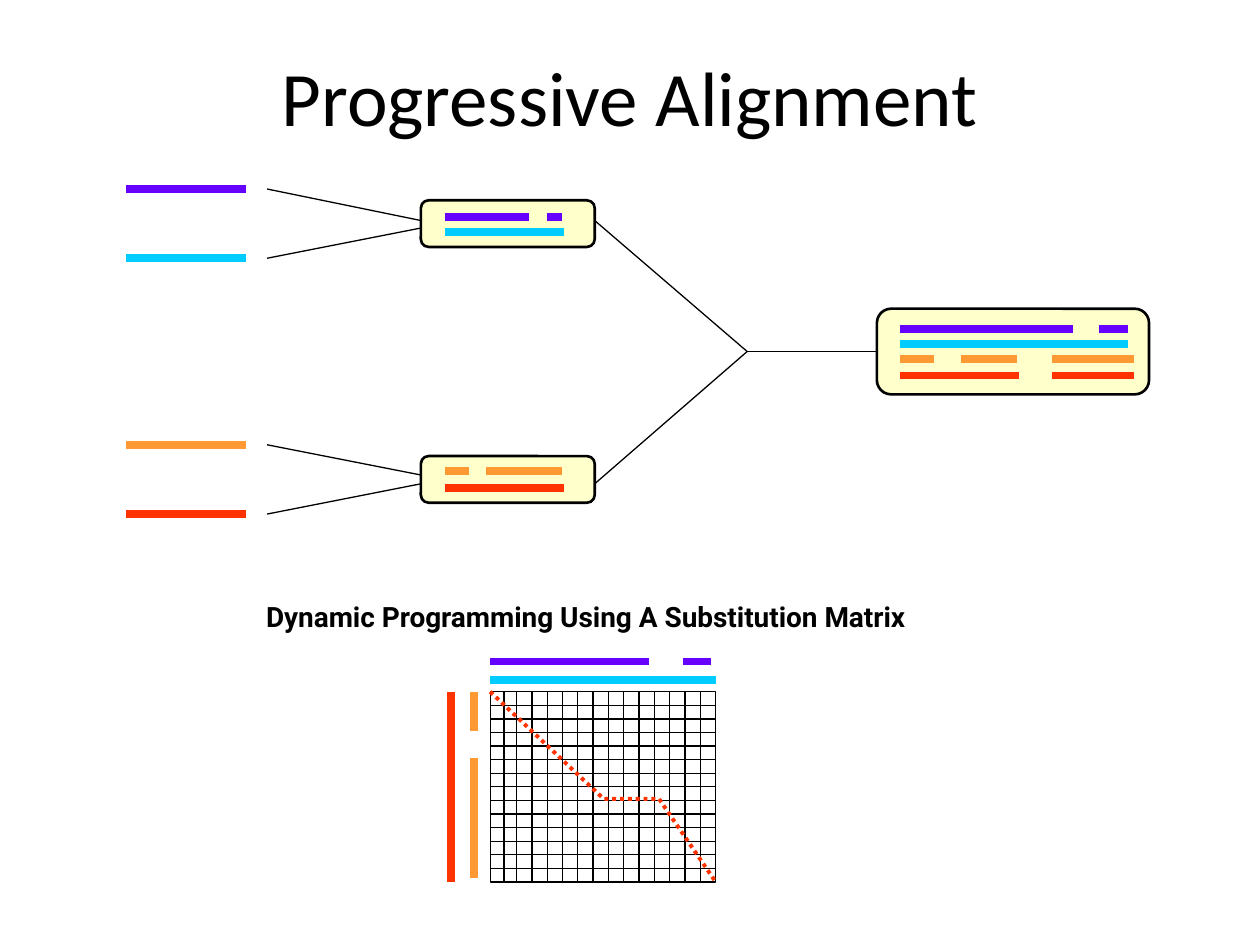
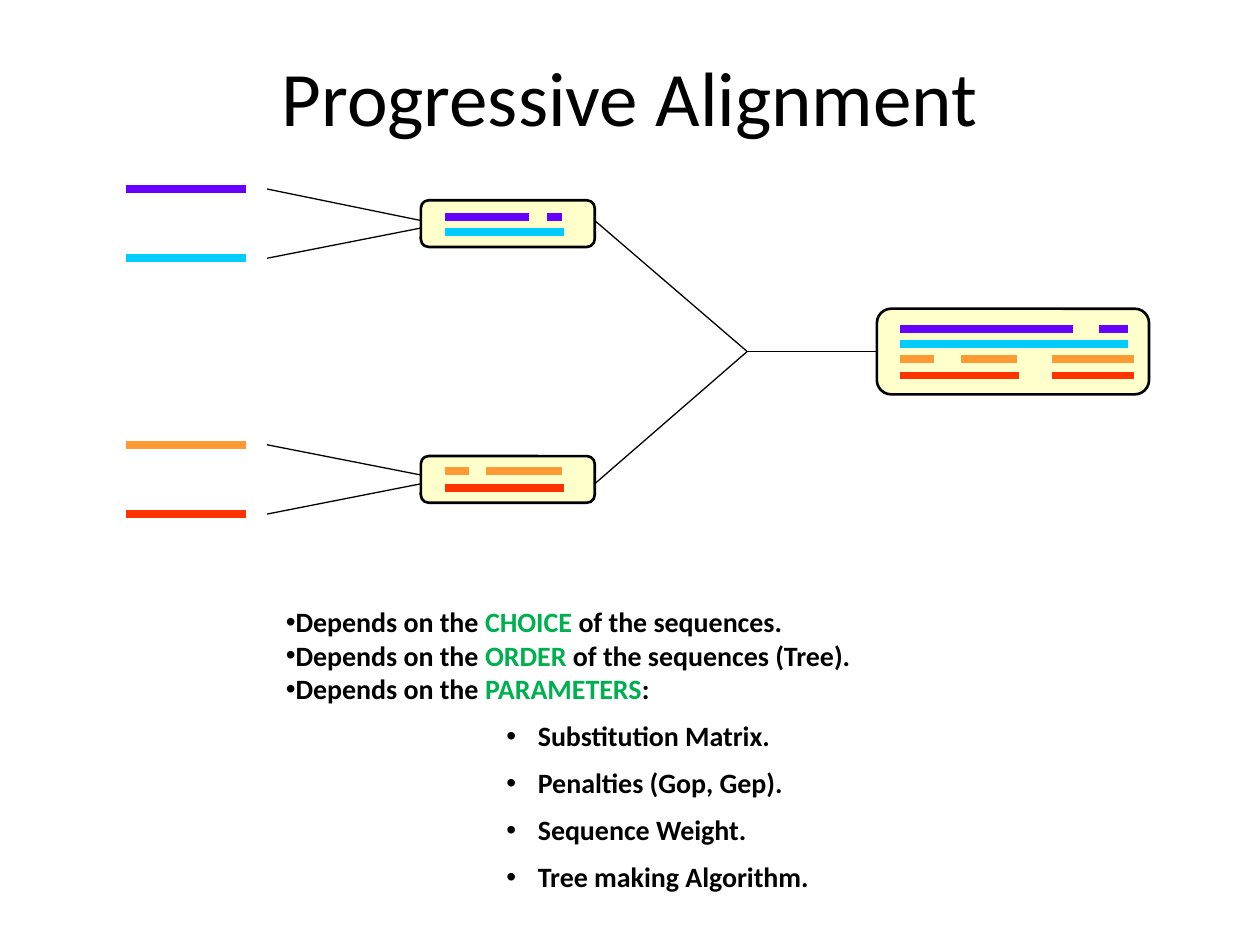
from lxml import etree
from pptx import Presentation
from pptx.dml.color import RGBColor
from pptx.enum.dml import MSO_LINE
from pptx.enum.shapes import MSO_CONNECTOR as Connector, MSO_SHAPE as Shape
from pptx.enum.text import PP_ALIGN as Align
from pptx.oxml.ns import qn
from pptx.util import Inches, Pt

BLACK, CREAM, GREEN = "000000", "FFFFCC", "00B050"
PURPLE, CYAN, ORANGE, RED = "6600FF", "00CCFF", "FF9933", "FF3300"
THIN, OUTLINE, PATH_WIDTH, BAR = 0.75, 1.5, 2.25, 4.5

# Each sequence row: colour, y, then (start, end) of every aligned piece
SEQUENCES = [(PURPLE, 1.5), (CYAN, 2.05), (ORANGE, 3.53), (RED, 4.08)]
PAIR_BOXES = [(3.34, 1.59, 1.38, 0.37), (3.34, 3.62, 1.38, 0.37)]
FINAL_BOX = (6.96, 2.45, 2.16, 0.68)
ALIGNED_ROWS = [
    (PURPLE, 1.72, [(3.53, 4.2), (4.34, 4.46)]),
    (CYAN, 1.84, [(3.53, 4.48)]),
    (ORANGE, 3.74, [(3.53, 3.72), (3.86, 4.46)]),
    (RED, 3.87, [(3.53, 4.48)]),
    (PURPLE, 2.61, [(7.14, 8.52), (8.72, 8.95)]),
    (CYAN, 2.73, [(7.14, 8.95)]),
    (ORANGE, 2.85, [(7.14, 7.41), (7.63, 8.07), (8.35, 9)]),
    (RED, 2.98, [(7.14, 8.09), (8.35, 9)]),
]
BRANCHES = [
    ((2.12, 1.5), (3.34, 1.75)), ((2.12, 2.05), (3.34, 1.81)),
    ((2.12, 3.53), (3.34, 3.77)), ((2.12, 4.08), (3.34, 3.84)),
    ((4.72, 1.75), (5.93, 2.79)), ((4.72, 3.84), (5.93, 2.79)),
]

GRID_LEFT, GRID_TOP, GRID_RIGHT, GRID_BOTTOM = 3.89, 5.49, 5.68, 7
MATRIX_ROWS = [
    (PURPLE, 5.25, [(GRID_LEFT, 5.15), (5.42, 5.64)]),
    (CYAN, 5.4, [(GRID_LEFT, GRID_RIGHT)]),
]
MATRIX_COLUMNS = [
    (RED, 3.58, [(GRID_TOP, GRID_BOTTOM)]),
    (ORANGE, 3.76, [(GRID_TOP, 5.8), (6.02, 6.97)]),
]
ALIGNMENT_PATH = [(GRID_LEFT, GRID_TOP), (4.79, 6.34), (5.23, 6.34),
                  (GRID_RIGHT, GRID_BOTTOM)]

DEPENDENCIES = [("CHOICE", " of the sequences."),
                ("ORDER", " of the sequences (Tree)."),
                ("PARAMETERS", ":")]
PARAMETERS = ["Substitution Matrix.", "Penalties (Gop, Gep).",
              "Sequence Weight.", "Tree making Algorithm."]


def color(hex_string):
    return RGBColor.from_string(hex_string)


def spread(start, end, count):
    """Return count + 1 evenly spaced values from start to end."""
    return [start + (end - start) * i / count for i in range(count + 1)]


class Deck:
    def __init__(self):
        self.presentation = Presentation()
        self.presentation.slide_width = Inches(10)
        self.presentation.slide_height = Inches(7.5)
        self.slide = None

    def add_slide(self, title):
        layout = self.presentation.slide_layouts[6]
        self.slide = self.presentation.slides.add_slide(layout)
        frame = self.text_box(0.5, 0.3, 9, 1.25)
        frame.margin_top = Inches(0.09)
        paragraph = frame.paragraphs[0]
        paragraph.alignment = Align.CENTER
        self.run(paragraph, title, size=44, bold=False)

    def text_box(self, left, top, width, height):
        box = self.slide.shapes.add_textbox(*map(Inches, (left, top, width, height)))
        box.text_frame.word_wrap = True
        return box.text_frame

    def run(self, paragraph, text, hex_string=BLACK, size=16, font="Calibri", bold=True):
        run = paragraph.add_run()
        run.text = text
        run.font.name, run.font.size, run.font.bold = font, Pt(size), bold
        run.font.color.rgb = color(hex_string)

    def bullet(self, paragraph, left=0, hanging=0):
        properties = paragraph._p.get_or_add_pPr()
        properties.set("marL", str(Inches(left)))
        properties.set("indent", str(-Inches(hanging)))
        font = etree.SubElement(properties, qn("a:buFont"))
        font.set("typeface", "Arial")
        etree.SubElement(properties, qn("a:buChar")).set("char", "•")

    def stroke(self, shape, hex_string, width):
        shape.line.color.rgb = color(hex_string)
        shape.line.width = Pt(width)

    def line(self, start, end, hex_string=BLACK, width=THIN):
        connector = self.slide.shapes.add_connector(
            Connector.STRAIGHT, *map(Inches, (*start, *end)))
        self.stroke(connector, hex_string, width)
        etree.SubElement(connector._element.spPr, qn("a:effectLst"))
        return connector

    def bars(self, rows, vertical=False):
        """Draw each row's pieces as thick lines, with x and y swapped if vertical."""
        for hex_string, offset, pieces in rows:
            for piece in pieces:
                ends = [(offset, at) if vertical else (at, offset) for at in piece]
                self.line(*ends, hex_string, BAR)

    def box(self, kind, bounds, fill=None, width=THIN):
        shape = self.slide.shapes.add_shape(kind, *map(Inches, bounds))
        shape.shadow.inherit = False
        if fill:
            shape.fill.solid()
            shape.fill.fore_color.rgb = color(fill)
        else:
            shape.fill.background()
        self.stroke(shape, BLACK, width)
        return shape

    def dotted_path(self, points):
        corners = [tuple(map(Inches, point)) for point in points]
        builder = self.slide.shapes.build_freeform(*corners[0])
        builder.add_line_segments(corners[1:], close=False)
        shape = builder.convert_to_shape()
        shape.shadow.inherit = False
        shape.fill.background()
        self.stroke(shape, RED, PATH_WIDTH)
        shape.line.dash_style = MSO_LINE.ROUND_DOT

    def guide_tree(self):
        self.bars([(hex_string, y, [(1, 1.95)]) for hex_string, y in SEQUENCES])
        for start, end in BRANCHES:
            self.line(start, end)
        for bounds in PAIR_BOXES:
            self.box(Shape.ROUNDED_RECTANGLE, bounds, CREAM, OUTLINE)
        final_box = self.box(Shape.ROUNDED_RECTANGLE, FINAL_BOX, CREAM, OUTLINE)
        self.line((5.93, 2.79), (6.96, 2.79)).end_connect(final_box, 1)
        self.bars(ALIGNED_ROWS)

    def substitution_matrix(self):
        frame = self.text_box(1.44, 4.71, 6.42, 0.36)
        paragraph = frame.paragraphs[0]
        paragraph.alignment = Align.CENTER
        self.run(paragraph, "Dynamic Programming Using A Substitution Matrix", font="Roboto")
        self.box(Shape.RECTANGLE, (GRID_LEFT, GRID_TOP, GRID_RIGHT - GRID_LEFT,
                                   GRID_BOTTOM - GRID_TOP))
        for y in spread(GRID_TOP, GRID_BOTTOM, 14)[1:-1]:
            self.line((GRID_LEFT, y), (GRID_RIGHT, y))
        # The first two columns are slightly narrower than the rest
        for x in [4] + spread(4.1, GRID_RIGHT, 13)[:-1]:
            self.line((x, GRID_BOTTOM), (x, GRID_TOP))
        self.dotted_path(ALIGNMENT_PATH)
        self.bars(MATRIX_ROWS)
        self.bars(MATRIX_COLUMNS, vertical=True)

    def dependency_list(self):
        frame = self.text_box(2.17, 4.75, 4.81, 2.42)
        for i, (keyword, ending) in enumerate(DEPENDENCIES):
            paragraph = frame.add_paragraph() if i else frame.paragraphs[0]
            self.bullet(paragraph)
            self.run(paragraph, "Depends on the ")
            self.run(paragraph, keyword, GREEN)
            self.run(paragraph, ending)
        for parameter in PARAMETERS:
            paragraph = frame.add_paragraph()
            paragraph.level = 4
            paragraph.line_spacing = 1.4
            self.bullet(paragraph, left=2, hanging=0.25)
            self.run(paragraph, parameter)


def main():
    deck = Deck()
    for add_details in (deck.substitution_matrix, deck.dependency_list):
        deck.add_slide("Progressive Alignment")
        deck.guide_tree()
        add_details()
    deck.presentation.save("out.pptx")


if __name__ == "__main__":
    main()
